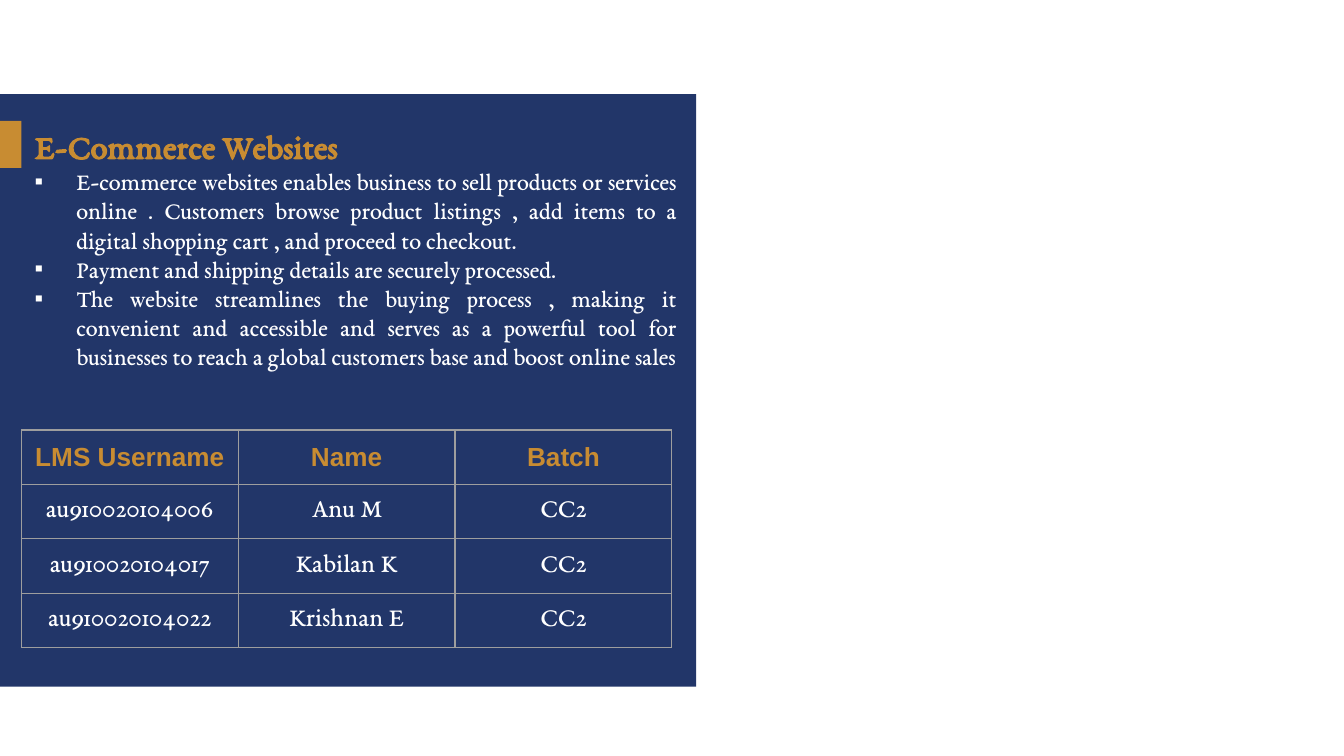
from pptx import Presentation
from pptx.dml.color import RGBColor
from pptx.enum.shapes import MSO_SHAPE
from pptx.enum.text import MSO_ANCHOR, MSO_AUTO_SIZE, PP_ALIGN
from pptx.oxml import parse_xml
from pptx.oxml.ns import nsdecls
from pptx.util import Inches, Pt

NAVY = RGBColor(0x22, 0x36, 0x69)
GOLD = RGBColor(0xC8, 0x8C, 0x32)
WHITE = RGBColor(0xFF, 0xFF, 0xFF)
GREY = RGBColor(0x9E, 0x9E, 0x9E)
SERIF, SANS = "EB Garamond", "Arial"
RECT = MSO_SHAPE.RECTANGLE
MIDDLE = MSO_ANCHOR.MIDDLE
FIXED = MSO_AUTO_SIZE.NONE
LEFT, CENTER, JUSTIFY = PP_ALIGN.LEFT, PP_ALIGN.CENTER, PP_ALIGN.JUSTIFY

POINTS = [
    "E-commerce websites enables business to sell products or services online . "
    "Customers browse product listings , add items to a digital shopping cart , "
    "and proceed to checkout.",
    "Payment and shipping details are securely processed.",
    "The website streamlines the buying process , making it convenient and "
    "accessible and serves as a powerful tool for businesses to reach a global "
    "customers base and boost online sales",
]
ROWS = [
    ("LMS Username", "Name", "Batch"),
    ("au910020104006", "Anu M", "CC2"),
    ("au910020104017", "Kabilan K", "CC2"),
    ("au910020104022", "Krishnan E", "CC2"),
]


def style(para, name, size, color, bold=False):
    font = para.font
    font.name, font.size, font.bold = name, Pt(size), bold
    font.color.rgb = color


def add_rect(slide, x, y, w, h, color):
    rect = slide.shapes.add_shape(RECT, Inches(x), Inches(y), Inches(w), Inches(h))
    rect.shadow.inherit = False
    rect.fill.solid()
    rect.fill.fore_color.rgb = color
    rect.line.fill.background()
    return rect


def add_title(slide, x, y, w, h, text):
    title = slide.shapes.title
    title.left, title.top = Inches(x), Inches(y)
    title.width, title.height = Inches(w), Inches(h)
    frame = title.text_frame
    frame.text = text
    frame.auto_size = FIXED
    frame.vertical_anchor = MIDDLE
    para = frame.paragraphs[0]
    para.alignment = LEFT
    style(para, SERIF, 18.3, GOLD, True)
    return title


def add_points(slide, x, y, w, h, points):
    box = slide.shapes.add_textbox(Inches(x), Inches(y), Inches(w), Inches(h))
    frame = box.text_frame
    frame.word_wrap = True
    for i, point in enumerate(points):
        para = frame.add_paragraph() if i else frame.paragraphs[0]
        para.text = point
        para.alignment = JUSTIFY
        # Hanging square bullet
        props = para._p.get_or_add_pPr()
        props.set("marL", str(Inches(0.31)))
        props.set("indent", str(-Inches(0.31)))
        props.append(parse_xml(
            f'<a:buClr {nsdecls("a")}><a:srgbClr val="{WHITE}"/></a:buClr>'))
        props.append(parse_xml(f'<a:buFont {nsdecls("a")} typeface="{SANS}"/>'))
        props.append(parse_xml(f'<a:buChar {nsdecls("a")} char="▪"/>'))
        style(para, SERIF, 13, WHITE)


def add_border(cell):
    props = cell._tc.get_or_add_tcPr()
    for i, side in enumerate(("lnL", "lnR", "lnT", "lnB")):
        props.insert(i, parse_xml(
            f'<a:{side} {nsdecls("a")} w="{Pt(0.75)}"><a:solidFill>'
            f'<a:srgbClr val="{GREY}"/></a:solidFill></a:{side}>'))


def add_team(slide, x, y, w, h, rows):
    table = slide.shapes.add_table(
        len(rows), len(rows[0]), Inches(x), Inches(y), Inches(w), Inches(h)).table
    for r, row in enumerate(rows):
        table.rows[r].height = Inches(h / len(rows))
        for c, text in enumerate(row):
            cell = table.cell(r, c)
            cell.text = text
            cell.fill.background()
            cell.vertical_anchor = MIDDLE
            add_border(cell)
            para = cell.text_frame.paragraphs[0]
            para.alignment = CENTER
            if r == 0:
                style(para, SANS, 14, GOLD, True)
            else:
                style(para, SERIF, 14, WHITE)


def add_panel(slide, x, y, w, h):
    # Backdrop and accent, with the title brought in front of them
    add_rect(slide, x, y, w, h, NAVY)
    mark = add_rect(slide, x, y + 0.2, 0.16, 0.35, GOLD)
    left = x + 0.16
    title = add_title(slide, left, y + 0.19, 3.74, 0.38, "E-Commerce Websites")
    mark.element.addnext(title.element)
    # Summary and team table
    add_points(slide, left, y + 0.49, w - 0.21, 1.93, POINTS)
    add_team(slide, left, y + 2.5, w - 0.34, 1.62, ROWS)


def main():
    deck = Presentation()
    # Widescreen, 16 to 9
    deck.slide_width, deck.slide_height = Inches(10), Inches(10 * 9 / 16)
    slide = deck.slides.add_slide(deck.slide_layouts[5])
    add_panel(slide, 0, 0.7, 5.18, 4.41)
    deck.save("out.pptx")


if __name__ == "__main__":
    main()
